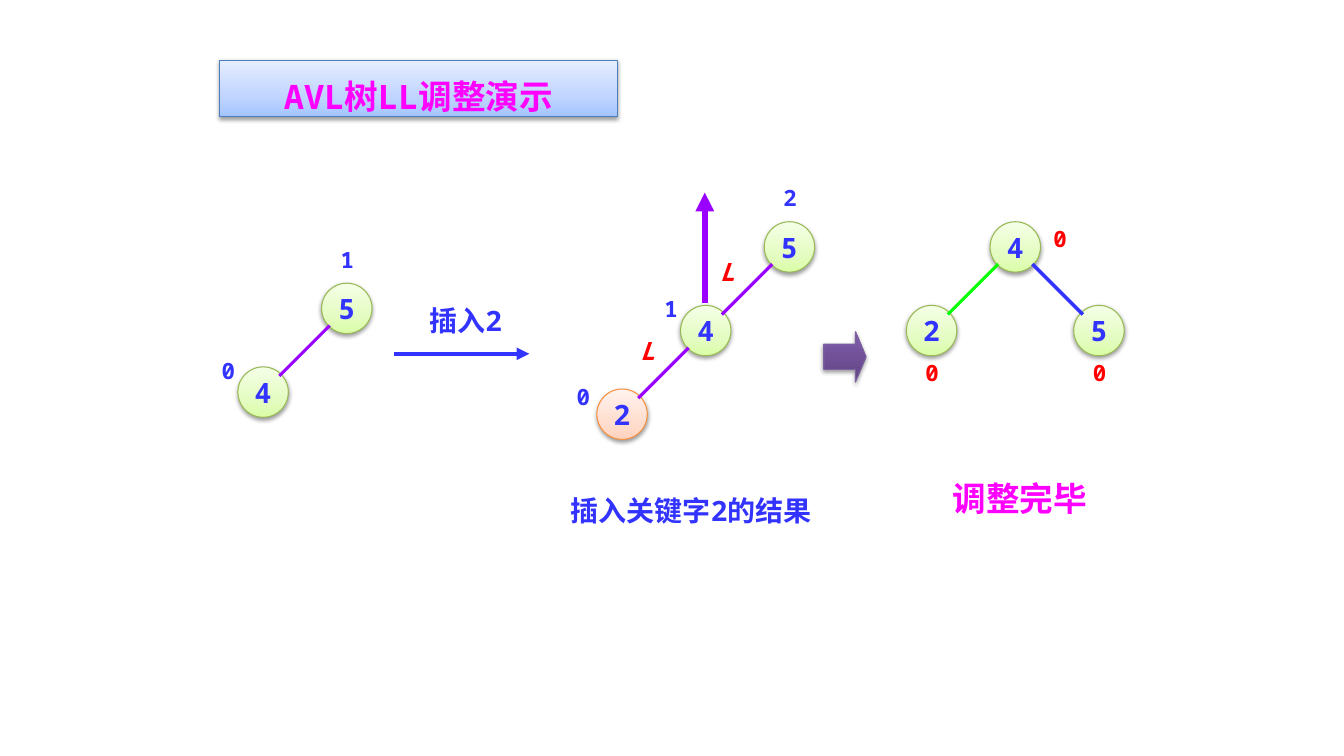
from lxml import etree
from pptx import Presentation
from pptx.dml.color import RGBColor
from pptx.enum import shapes, text
from pptx.oxml import ns
from pptx.util import Inches, Pt

FONT = "Noto Sans Mono"
NODE, STEP, NEAR, FAR = 0.5, 0.83, 0.17, 0.16
COLORS = {"blue": "3333FF", "red": "FF0000", "magenta": "FF00FF", "purple": "9900FF",
          "green": "00FF00"}
STYLES = {
    "title": ("4B7EBC", [(0, "A4C4FF"), (35, "BFD4FF"), (100, "E6EEFF")]),
    "node": ("98B955", [(0, "DAFDA7"), (35, "E4FCC2"), (100, "F5FFE7")]),
    "new": ("F69240", [(0, "FFD2BD"), (35, "FFDED0"), (100, "FFF2ED")]),
    "step": ("7D60A0", [(0, "5F4480"), (80, "7B58A6"), (100, "7C57A8")]),
}


def child(parent, tag, **attrs):
    """Append a DrawingML element and return it."""
    return etree.SubElement(parent, ns.qn(tag), {k: str(v) for k, v in attrs.items()})


def decorate(sp, style):
    """Give a shape its gradient, outline and soft shadow."""
    line, stops = STYLES[style]
    sp.fill.gradient()
    sp.fill.gradient_angle = 90
    sp.line.color.rgb = RGBColor.from_string(line)
    sp.line.width = Pt(0.75)
    spPr = sp._element.spPr
    gs_list = spPr.find(ns.qn("a:gradFill")).find(ns.qn("a:gsLst"))
    for gs in list(gs_list):
        gs_list.remove(gs)
    for pos, color in stops:
        child(child(gs_list, "a:gs", pos=pos * 1000), "a:srgbClr", val=color)
    shadow = child(child(spPr, "a:effectLst"), "a:outerShdw", blurRad=Pt(3.1),
                   dist=Pt(1.6), dir=5400000, rotWithShape=0)
    child(child(shadow, "a:srgbClr", val="000000"), "a:alpha", val=38000)


def write(tf, words, size, color, align=text.PP_ALIGN.LEFT, italic=False):
    """Put one bold run in the first paragraph and return the paragraph."""
    p = tf.paragraphs[0]
    p.alignment = align
    r = p.add_run()
    r.text = words
    r.font.name, r.font.size, r.font.bold, r.font.italic = FONT, Pt(size), True, italic
    r.font.color.rgb = RGBColor.from_string(COLORS[color])
    child(r._r.get_or_add_rPr(), "a:ea", typeface=FONT)
    return p


def label(parts, x, y, w, h, words, size, color, **kw):
    """Place a text box."""
    tf = parts.add_textbox(Inches(x), Inches(y), Inches(w), Inches(h)).text_frame
    tf.word_wrap = True
    write(tf, words, size, color, **kw)


def line(parts, x1, y1, x2, y2, color, width, arrow=False):
    """Draw a straight line, with an arrowhead at its end if asked."""
    c = parts.add_connector(shapes.MSO_CONNECTOR.STRAIGHT, Inches(x1), Inches(y1),
                            Inches(x2), Inches(y2))
    c.line.color.rgb = RGBColor.from_string(COLORS[color])
    c.line.width = Pt(width)
    if arrow:
        child(c.line._get_or_add_ln(), "a:tailEnd", type="triangle")
    child(c._element.spPr, "a:effectLst")


def title(s, x, y, w, h):
    """Format the title placeholder as a gradient banner."""
    sp = s.shapes.title
    sp.left, sp.top, sp.width, sp.height = map(Inches, (x, y, w, h))
    decorate(sp, "title")
    tf = sp.text_frame
    tf.auto_size = text.MSO_AUTO_SIZE.NONE
    tf.vertical_anchor = text.MSO_ANCHOR.TOP
    write(tf, "AVL树LL调整演示", 24, "magenta", text.PP_ALIGN.CENTER).line_spacing = 1.25


def tree(s, x, y, nodes, edges, factors, turns=()):
    """Draw a tree on a grid of (column, row) cells with its balance factors."""
    parts = s.shapes.add_group_shape().shapes
    centers = {}
    for key, col, row, style in nodes:
        left, top = x + col * STEP, y + row * STEP
        sp = parts.add_shape(shapes.MSO_SHAPE.OVAL, Inches(left), Inches(top),
                             Inches(NODE), Inches(NODE))
        decorate(sp, style)
        tf = sp.text_frame
        tf.word_wrap = False
        tf.vertical_anchor = text.MSO_ANCHOR.MIDDLE
        write(tf, key, 20, "blue", text.PP_ALIGN.CENTER)
        centers[key] = left + NODE / 2, top + NODE / 2
    for parent, kid, color, width in edges:
        (px, py), (kx, ky) = centers[parent], centers[kid]
        side = 1 if kx > px else -1
        line(parts, px + side * NEAR, py + NEAR, kx - side * FAR, ky - FAR, color, width)
    for words, dx, dy, color in factors:
        label(parts, x + dx, y + dy, 0.31, 0.37, words, 16, color)
    for dx, dy in turns:
        label(parts, x + dx, y + dy, 0.31, 0.4, "L", 18, "red", italic=True)


def insertion(s, x, y, w):
    """Draw the insertion arrow with its caption above."""
    parts = s.shapes.add_group_shape().shapes
    label(parts, x + 0.25, y, 1.1, 0.43, "插入2", 20, "blue")
    line(parts, x, y + 0.55, x + w, y + 0.55, "blue", 3, arrow=True)


def next_step(s, x, y, w, h):
    """Draw the block arrow towards the balanced tree."""
    sp = s.shapes.add_shape(shapes.MSO_SHAPE.RIGHT_ARROW, Inches(x), Inches(y),
                            Inches(w), Inches(h))
    sp.adjustments[0], sp.adjustments[1] = 0.5, 0.25
    decorate(sp, "step")


def main():
    """Build the slide and save it."""
    prs = Presentation()
    prs.slide_width, prs.slide_height = Inches(13.33), Inches(7.5)
    s = prs.slides.add_slide(prs.slide_layouts[5])
    title(s, 2.18, 0.6, 3.94, 0.56)
    next_step(s, 8.17, 3.29, 0.42, 0.5)
    tree(s, 8.99, 2.2,
         [("4", 1, 0, "node"), ("2", 0, 1, "node"), ("5", 2, 1, "node")],
         [("4", "2", "green", 2.25), ("4", "5", "blue", 2.5)],
         [("0", 0.09, 1.31, "red"), ("0", 1.75, 1.31, "red"), ("0", 1.36, -0.02, "red")])
    tree(s, 2.36, 2.81,
         [("5", 1, 0, "node"), ("4", 0, 1, "node")],
         [("5", "4", "purple", 2.25)],
         [("0", -0.26, 0.68, "blue"), ("1", 0.92, -0.42, "blue")])
    insertion(s, 3.91, 2.96, 1.34)
    tree(s, 5.92, 2.2,
         [("5", 2, 0, "node"), ("4", 1, 1, "node"), ("2", 0, 2, "new")],
         [("5", "4", "purple", 2.25), ("4", "2", "purple", 2.25)],
         [("0", -0.3, 1.55, "blue"), ("1", 0.57, 0.68, "blue"), ("2", 1.75, -0.42, "blue")],
         turns=[(1.12, 0.29), (0.33, 1.08)])
    label(s.shapes, 5.56, 4.85, 2.76, 0.43, "插入关键字2的结果", 20, "blue")
    label(s.shapes, 9.17, 4.69, 1.89, 0.5, "调整完毕", 24, "magenta",
          align=text.PP_ALIGN.CENTER)
    line(s.shapes, 6.99, 3.01, 6.99, 1.91, "purple", 4.5, arrow=True)
    prs.save("out.pptx")


if __name__ == "__main__":
    main()
